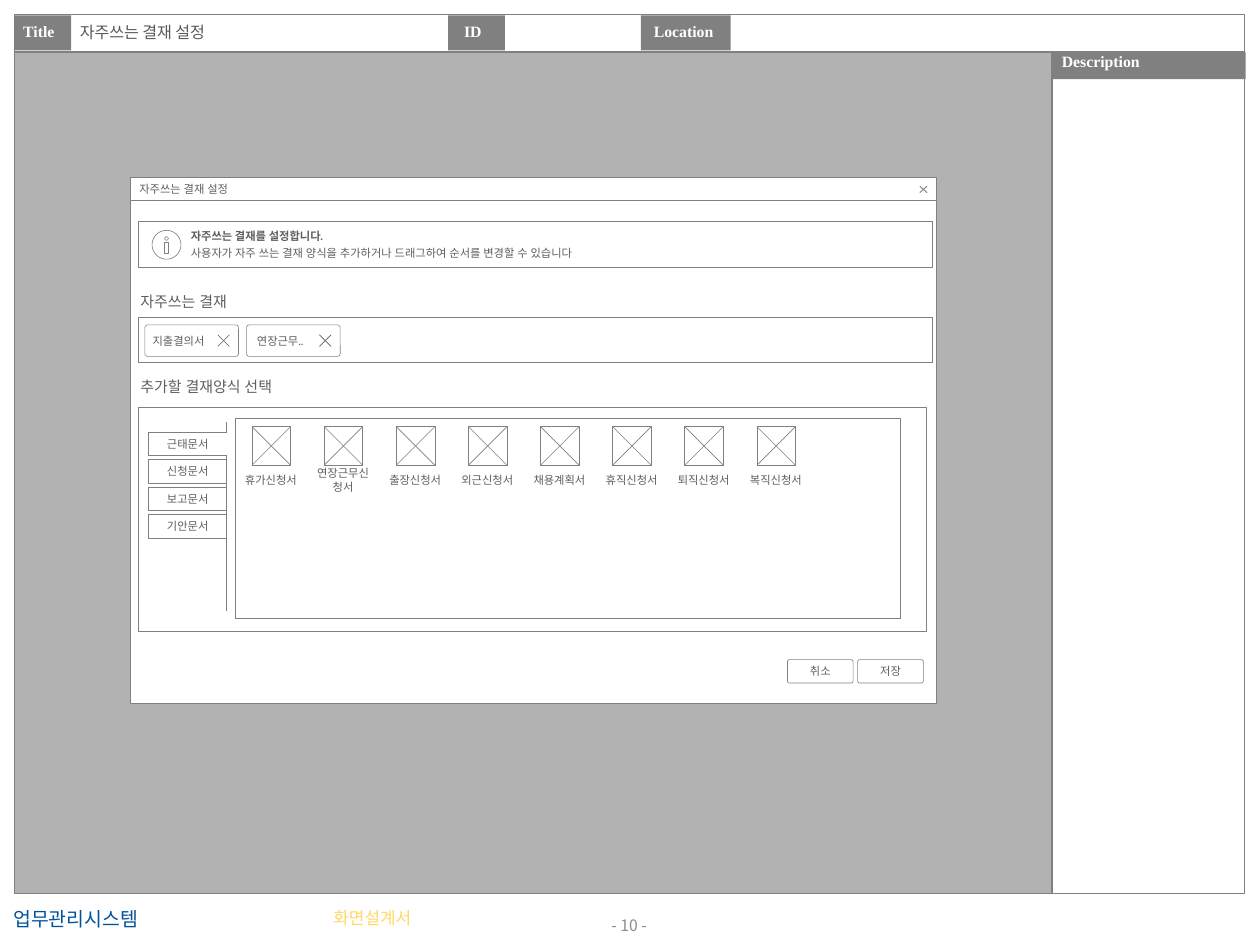
import copy
import math

import lxml.etree
import pptx
import pptx.dml.color
import pptx.enum.shapes
import pptx.enum.text
import pptx.oxml
import pptx.oxml.ns
import pptx.util

Inches = pptx.util.Inches
Shapes = pptx.enum.shapes.MSO_SHAPE
Align = pptx.enum.text.PP_ALIGN
Anchor = pptx.enum.text.MSO_ANCHOR

COLORS = {
    "white": "FFFFFF",
    "gray": "808080",
    "page": "8C8C8C",
    "gold": "FFD966",
    "blue": "00529B",
    "title": "595959",
    "ink": "5F5F5F",
}
WIDE = (0.1, 0.05, 0.1, 0.05)
LABEL = (0.08, 0.04, 0.08, 0.04)
TAB = (0.05, 0.05, 0.05, 0.05)
CHIP = (0.1, 0.05, 0.39, 0.05)


def rgb(name):
    return pptx.dml.color.RGBColor.from_string(COLORS[name])


def write(shape, text, size=9, font="Lato", color="ink", bold=False, align=Align.CENTER,
          anchor=Anchor.MIDDLE, insets=WIDE, wrap=True, grow=False, spacing=None, after=None):
    frame = shape.text_frame
    paragraph = frame.add_paragraph() if frame.text else frame.paragraphs[0]
    frame.word_wrap = wrap
    frame.vertical_anchor = anchor
    if grow:
        frame.auto_size = pptx.enum.text.MSO_AUTO_SIZE.SHAPE_TO_FIT_TEXT
    (frame.margin_left, frame.margin_top,
     frame.margin_right, frame.margin_bottom) = map(Inches, insets)
    paragraph.alignment = align
    if spacing:
        paragraph.line_spacing = spacing
    if after:
        paragraph.space_after = pptx.util.Pt(after)
    run = paragraph.add_run()
    run.text = text
    run.font.size = pptx.util.Pt(size)
    run.font.bold = bold
    run.font.color.rgb = rgb(color)
    run.font.name = font
    latin = run.font._element.find(pptx.oxml.ns.qn("a:latin"))
    east_asian = copy.deepcopy(latin)
    east_asian.tag = pptx.oxml.ns.qn("a:ea")
    latin.addnext(east_asian)


class Wireframe:
    def __init__(self, slide):
        self.slide = slide
        self.shapes = slide.shapes

    def style(self, shape, fill, line, width):
        shape.shadow.inherit = False
        if fill:
            shape.fill.solid()
            shape.fill.fore_color.rgb = rgb(fill)
        else:
            shape.fill.background()
        if line:
            shape.line.color.rgb = rgb(line)
            shape.line.width = pptx.util.Pt(width)
        else:
            shape.line.fill.background()
        return shape

    def box(self, left, top, width, height, fill="white", line="gray", weight=0.5,
            kind=Shapes.RECTANGLE, radius=None):
        shape = self.shapes.add_shape(kind, *map(Inches, (left, top, width, height)))
        if radius is not None:
            shape.adjustments[0] = radius
        return self.style(shape, fill, line, weight)

    def button(self, left, top, width, height):
        return self.box(left, top, width, height, kind=Shapes.ROUNDED_RECTANGLE, radius=0.088)

    def header(self, text, left, top, width, height, **format):
        shape = self.box(left, top, width, height, fill="gray", line=None)
        write(shape, text, size=12.6, font="Times New Roman", color="white", bold=True,
              spacing=0.75, **format)

    def label(self, text, left, top, width, height, **format):
        shape = self.shapes.add_textbox(*map(Inches, (left, top, width, height)))
        write(shape, text, **format)

    def line(self, x1, y1, x2, y2, weight):
        connector = self.shapes.add_connector(
            pptx.enum.shapes.MSO_CONNECTOR.STRAIGHT, *map(Inches, (x1, y1, x2, y2)))
        connector.line.color.rgb = rgb("gray")
        connector.line.width = pptx.util.Pt(weight)
        lxml.etree.SubElement(connector._element.spPr, pptx.oxml.ns.qn("a:effectLst"))

    def outline(self, contours, fill=None, line="gray", weight=0.5):
        builder = None
        for points, closed in contours:
            start, *rest = [(Inches(x), Inches(y)) for x, y in points]
            if builder is None:
                builder = self.shapes.build_freeform(*start)
            else:
                builder.move_to(*start)
            builder.add_line_segments(rest, close=closed)
        return self.style(builder.convert_to_shape(), fill, line, weight)

    def cross(self, left, top, width, height, framed=False, **format):
        right, bottom = left + width, top + height
        contours = [([(right, top), (left, bottom)], False),
                    ([(left, top), (right, bottom)], False)]
        if framed:
            contours.append(
                ([(left, top), (right, top), (right, bottom), (left, bottom)], True))
        self.outline(contours, **format)

    def info_icon(self, x, y):
        def circle(center_y, radius, steps):
            angles = [2 * math.pi * step / steps for step in range(steps)]
            return [(x + radius * math.cos(a), center_y + radius * math.sin(a)) for a in angles]

        stem = [(x - 0.02, y - 0.03), (x - 0.02, y + 0.09),
                (x + 0.02, y + 0.09), (x + 0.02, y - 0.03)]
        self.outline([(circle(y - 0.07, 0.02, 8), True), (stem, True),
                      (circle(y, 0.16, 60), True)])


def draw_page(frame):
    frame.header("Title", 0.16, 0.17, 0.63, 0.39, align=Align.LEFT)
    frame.header("Description", 11.7, 0.58, 2.14, 0.3, align=Align.LEFT, anchor=Anchor.TOP)
    frame.box(0.16, 0.16, 13.67, 9.77, fill=None, weight=1)
    frame.line(11.69, 0.57, 11.69, 9.93, 1.5)
    frame.line(0.16, 0.58, 13.83, 0.58, 1.5)
    frame.label("- 10 -", 5.45, 10.12, 3.08, 0.31, size=12.6, font="Noto Sans CJK KR",
                color="page", insets=(0.06, 0.06, 0.06, 0.06))
    frame.label("화면설계서", 3.16, 10.02, 1.54, 0.43, size=13.6, font="Noto Sans CJK KR",
                color="gold", align=Align.RIGHT, anchor=Anchor.TOP,
                insets=(0.13, 0.06, 0.13, 0.06))
    frame.label("업무관리시스템", 0.05, 10.03, 2.72, 0.36, size=15.5, font="Noto Sans CJK KR",
                color="blue", align=Align.LEFT, anchor=Anchor.TOP, grow=True)
    frame.header("ID", 4.98, 0.17, 0.63, 0.39, insets=(0.1, 0.05, 0.18, 0.05))
    frame.header("Location", 7.12, 0.17, 1, 0.39, insets=(0.05, 0.05, 0.1, 0.05))
    backdrop = frame.box(0.16, 0.59, 11.53, 9.34, fill="gray", line=None)
    color = backdrop._element.spPr.find(".//" + pptx.oxml.ns.qn("a:srgbClr"))
    lxml.etree.SubElement(color, pptx.oxml.ns.qn("a:alpha"), val="60000")
    frame.label("자주쓰는 결재 설정", 0.79, 0.16, 4.17, 0.41, size=12.9, font="Calibri",
                color="title", align=Align.LEFT, spacing=0.9)


def draw_dialog(frame):
    frame.box(1.45, 2.23, 8.96, 5.59)
    title_bar = frame.box(1.45, 1.97, 8.96, 0.26)
    write(title_bar, "자주쓰는 결재 설정", align=Align.LEFT, insets=(0.1, 0.05, 0.25, 0.05))
    frame.cross(10.22, 2.07, 0.08, 0.07, weight=0.75)
    for left, text in ((9.53, "저장"), (8.75, "취소")):
        write(frame.button(left, 7.33, 0.73, 0.26), text)

    notice = frame.box(1.54, 2.46, 8.82, 0.51, kind=Shapes.ROUNDED_RECTANGLE, radius=0)
    for text, bold in (("자주쓰는 결재를 설정합니다.", True),
                       ("사용자가 자주 쓰는 결재 양식을 추가하거나 드래그하여 순서를 변경할 수 있습니다", False)):
        write(notice, text, bold=bold, align=Align.LEFT, after=3, insets=(0.58, 0.05, 0.1, 0.05))
    frame.info_icon(1.85, 2.72)

    for text, top, width in (("자주쓰는 결재", 3.21, 1.22), ("추가할 결재양식 선택", 4.15, 1.77)):
        frame.label(text, 1.48, top, width, 0.28, size=12, align=Align.LEFT,
                    anchor=Anchor.TOP, insets=LABEL, wrap=False, grow=True)


def draw_favorites(frame):
    frame.box(1.54, 3.53, 8.82, 0.5, fill=None)
    for left, text in ((1.61, "지출결의서"), (2.74, "연장근무..")):
        write(frame.button(left, 3.61, 1.04, 0.35), text, insets=CHIP, wrap=False)
        frame.cross(left + 0.81, 3.72, 0.13, 0.13, line="ink")


def draw_picker(frame):
    frame.box(1.54, 4.53, 8.75, 2.49)
    frame.line(2.52, 4.8, 2.52, 4.69, 0.5)
    frame.line(2.52, 5.06, 2.52, 6.79, 0.5)
    active = [(2.52, 5.06), (1.65, 5.06), (1.65, 4.8), (2.52, 4.8)]
    for index, text in enumerate(("근태문서", "신청문서", "보고문서", "기안문서")):
        if index == 0:
            tab = frame.outline([(active, False)], fill="white")
        else:
            tab = frame.box(1.65, 4.8 + index * 0.92 / 3, 0.87, 0.26)
        write(tab, text, insets=TAB)

    frame.box(2.61, 4.65, 7.4, 2.22)
    forms = ("휴가신청서", "연장근무신청서", "출장신청서", "외근신청서",
             "채용계획서", "휴직신청서", "퇴직신청서", "복직신청서")
    pitch = 5.61 / (len(forms) - 1)
    for index, text in enumerate(forms):
        offset = index * pitch
        frame.cross(2.8 + offset, 4.74, 0.43, 0.43, framed=True, fill="white")
        frame.label(text, 2.61 + offset, 5.17, 0.8, 0.33, insets=LABEL)


def main():
    presentation = pptx.Presentation()
    presentation.slide_width = Inches(14)
    presentation.slide_height = Inches(10.5)
    frame = Wireframe(presentation.slides.add_slide(presentation.slide_layouts[6]))
    draw_page(frame)
    draw_dialog(frame)
    draw_favorites(frame)
    draw_picker(frame)
    presentation.save("out.pptx")


if __name__ == "__main__":
    main()
